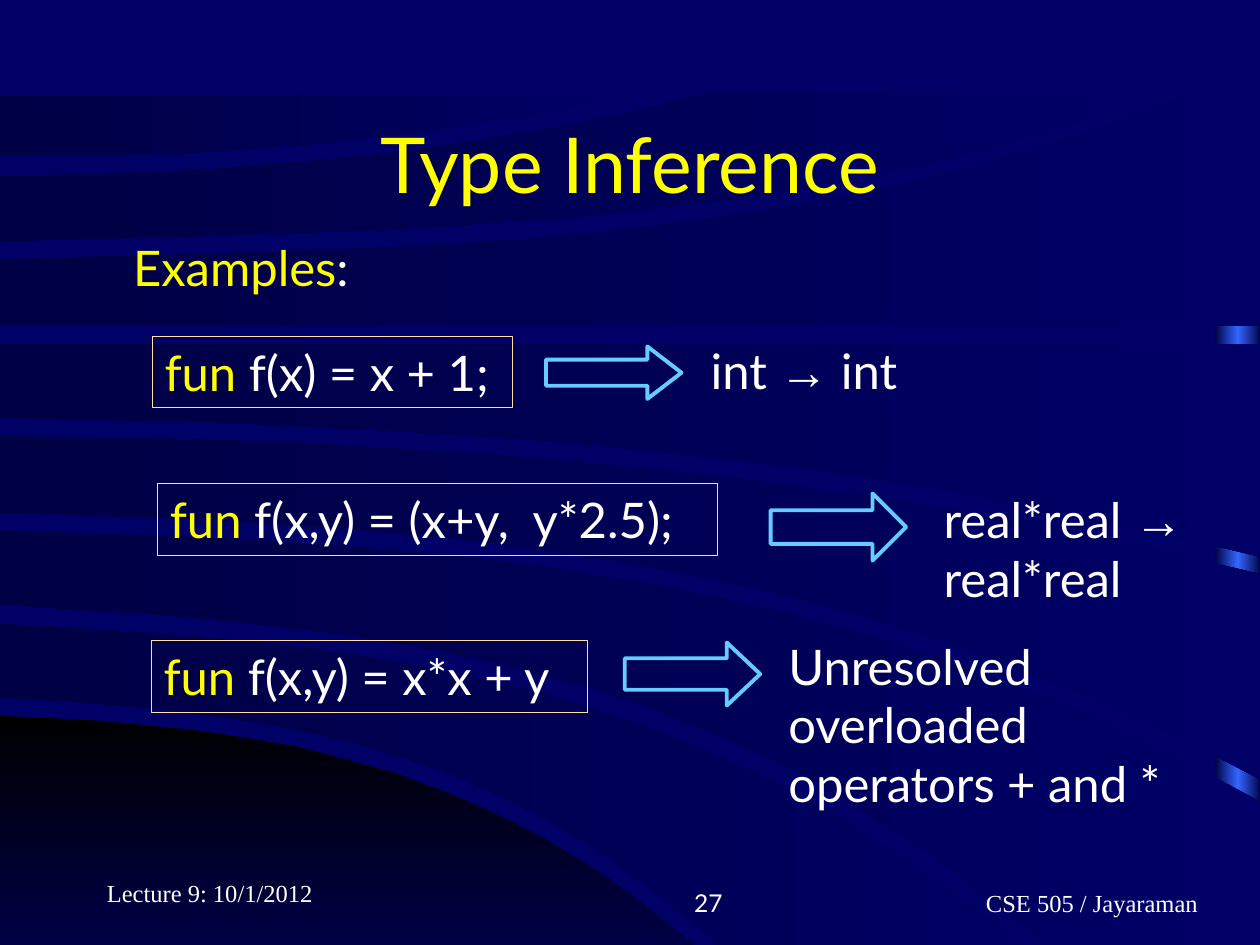
from dataclasses import dataclass
from math import prod

from lxml import etree
from pptx import Presentation
from pptx.dml.color import RGBColor
from pptx.enum.shapes import MSO_SHAPE
from pptx.enum.text import MSO_ANCHOR, PP_ALIGN
from pptx.oxml.ns import qn
from pptx.util import Inches, Pt

RECTANGLE, RIGHT_ARROW = MSO_SHAPE.RECTANGLE, MSO_SHAPE.RIGHT_ARROW
TOP, MIDDLE, BOTTOM = MSO_ANCHOR.TOP, MSO_ANCHOR.MIDDLE, MSO_ANCHOR.BOTTOM
LEFT, CENTER, RIGHT = PP_ALIGN.LEFT, PP_ALIGN.CENTER, PP_ALIGN.RIGHT

COLUMNS, ROWS = 120, 90  # grid cells across and down the slide
CURVE_UNIT = Inches(0.01)
CURVE_STEPS = 16


@dataclass(frozen=True)
class Theme:
    navy: str = "000066"
    deep: str = "000044"
    black: str = "000000"
    glow: str = "3366FF"
    yellow: str = "FFFF00"
    white: str = "FFFFFF"
    frame: str = "FFE0A3"
    arrow: str = "66CCFF"
    sans: str = "Lato"
    serif: str = "Times New Roman"
    symbol: str = "Arial"
    title: int = 44
    body: int = 28
    footer: int = 14


THEME = Theme()


def curve(end, heights):
    """Points on the polynomial through heights spaced evenly from 0 to end."""
    knots = range(len(heights))
    points = []
    for step in range(CURVE_STEPS + 1):
        share = step / CURVE_STEPS
        spot = share * (len(heights) - 1)
        height = sum(heights[knot] * prod((spot - other) / (knot - other)
                                          for other in knots if other != knot)
                     for knot in knots)
        points.append((round(end * share), round(height)))
    return points


class SlideBuilder:
    def __init__(self, deck, theme):
        self.theme = theme
        self.cell_width = deck.slide_width / COLUMNS
        self.cell_height = deck.slide_height / ROWS
        self.page = deck.slides.add_slide(deck.slide_layouts[6])
        self.page.background.fill.solid()
        self.page.background.fill.fore_color.rgb = RGBColor.from_string(theme.navy)

    def place(self, left, top, width, height):
        return (round(left * self.cell_width), round(top * self.cell_height),
                round(width * self.cell_width), round(height * self.cell_height))

    def shape(self, kind, area):
        shape = self.page.shapes.add_shape(kind, *self.place(*area))
        shape.shadow.inherit = False
        return shape

    def outline(self, shape, color, width):
        shape.fill.background()
        shape.line.color.rgb = RGBColor.from_string(color)
        shape.line.width = Pt(width)

    def gradient(self, shape, colors, angle=0):
        """Spread the colors evenly; the angle runs clockwise in degrees."""
        shape.fill.gradient()
        shape.line.fill.background()
        grad = shape._element.spPr.find(qn("a:gradFill"))
        stops = grad.find(qn("a:gsLst"))
        stops.clear()
        for index, color in enumerate(colors):
            position = 100000 * index // (len(colors) - 1)
            stop = etree.SubElement(stops, qn("a:gs"), pos=str(position))
            etree.SubElement(stop, qn("a:srgbClr"), val=color)
        grad.find(qn("a:lin")).set("ang", str(angle * 60000))

    def strip(self, area, colors):
        self.gradient(self.shape(RECTANGLE, area), colors)

    def band(self, upper, lower, colors, angle=0):
        """Fill between two (end, heights) edges, the shorter one run on level."""
        reach = max(upper[0], lower[0])
        top_edge, bottom_edge = [
            curve(end, heights) + [(reach, heights[-1])] for end, heights in (upper, lower)]
        points = top_edge + bottom_edge[::-1]
        builder = self.page.shapes.build_freeform(*points[0], scale=CURVE_UNIT)
        builder.add_line_segments(points[1:], close=True)
        shape = builder.convert_to_shape()
        shape.shadow.inherit = False
        self.gradient(shape, colors, angle)

    def arrow(self, area, head):
        shape = self.shape(RIGHT_ARROW, area)
        shape.adjustments[1] = head
        self.outline(shape, self.theme.arrow, 2.25)

    def text(self, area, lines, size, anchor=TOP, align=LEFT, tab=None, framed=False):
        """Each line is a list of (words, color, font) spans."""
        if framed:
            box = self.shape(RECTANGLE, area)
            self.outline(box, self.theme.frame, 0.25)
        else:
            box = self.page.shapes.add_textbox(*self.place(*area))
        frame = box.text_frame
        frame.word_wrap, frame.vertical_anchor = True, anchor
        for index, line in enumerate(lines):
            para = frame.add_paragraph() if index else frame.paragraphs[0]
            para.alignment = align
            if tab:
                tabs = etree.SubElement(para._p.get_or_add_pPr(), qn("a:tabLst"))
                etree.SubElement(tabs, qn("a:tab"), pos=str(Inches(tab)), algn="l")
            for words, color, font in line:
                span = para.add_run()
                span.text = words
                span.font.color.rgb = RGBColor.from_string(color)
                for name, value in {"size": Pt(size), "name": font}.items():
                    setattr(span.font, name, value)


# Background edges as (end, heights), in hundredths of an inch
FULL = 1001
HILL = (629, [568, 588, 659, 827]), (629, [827])
BANDS = [
    ((894, [495, 522, 612, 825]), (643, [554, 575, 648, 825])),
    ((FULL, [421, 439, 498, 637]), (910, [480, 508, 600, 825])),
    ((FULL, [346, 357, 391, 456]), (FULL, [407, 425, 484, 619])),
    ((FULL, [273]), (FULL, [332, 343, 376, 442])),
    ((944, [206, 196, 164, 75]), (FULL, [259])),
    ((557, [139, 133, 113, 75]), (918, [192, 182, 153, 75])),
    ((502, [75]), (502, [124, 120, 104, 75])),
]

# Row heights for text, and the shared arrow width, in grid cells
FIRST_LINE, NEXT_LINE, ARROW_WIDTH = 6.84, 5.6, 12.9

# Code place and width, code, arrow place and height, head, result place and width, result
EXAMPLES = [
    ((14.5, 32, 34.3), " f(x) = x + 1;", (52, 33), 5, 0.65,
     (66.5, 31.8, 21), ["int → int"]),
    ((15, 46, 53.3), " f(x,y) = (x+y,  y*2.5);", (73.4, 47), 6.4, 0.5,
     (88.7, 46, 28.8), ["real*real →", "real*real"]),
    ((14.4, 61, 41.5), " f(x,y) = x*x + y", (59.5, 61.2), 6, 0.53,
     (73.9, 60, 41.2), ["Unresolved", "overloaded", "operators + and *"]),
]


def result_spans(line):
    before, arrow, after = line.partition("→")
    parts = [(before, THEME.sans), (arrow, THEME.symbol), (after, THEME.sans)]
    return [(words, THEME.white, font) for words, font in parts if words]


def main():
    deck = Presentation()
    deck.slide_width, deck.slide_height = Inches(10), Inches(7.5)
    slide = SlideBuilder(deck, THEME)
    yellow, white, sans, serif = THEME.yellow, THEME.white, THEME.sans, THEME.serif

    # Background
    slide.strip((115.7, 9.2, 4.4, ROWS), [THEME.deep, THEME.glow, THEME.deep])
    slide.band(*HILL, [THEME.black, THEME.navy], angle=90)
    for upper, lower in BANDS:
        slide.band(upper, lower, [THEME.deep, THEME.navy])

    # Headings
    slide.text((9, 8, 102, 15), [[("Type Inference", yellow, sans)]], THEME.title,
               MIDDLE, CENTER)
    slide.text((11.5, 22, 24.6, FIRST_LINE),
               [[("Examples", yellow, sans), (":", white, sans)]], THEME.body)

    # Examples
    for code_place, code, arrow_place, arrow_height, head, result_place, result in EXAMPLES:
        slide.text((*code_place, FIRST_LINE), [[("fun", yellow, sans), (code, white, sans)]],
                   THEME.body, framed=True)
        slide.arrow((*arrow_place, ARROW_WIDTH, arrow_height), head)
        result_height = FIRST_LINE + NEXT_LINE * (len(result) - 1)
        slide.text((*result_place, result_height), [result_spans(line) for line in result],
                   THEME.body)

    # Footer
    for left, top, width, words, font, align, tab in [
        (9, 81, 25, "Lecture 9: 10/1/2012", serif, LEFT, None),
        (45, 82, 25, "27", sans, RIGHT, None),
        (79, 82, 38, "\tCSE 505 / Jayaraman", serif, CENTER, 1),
    ]:
        slide.text((left, top, width, 6), [[(words, white, font)]], THEME.footer,
                   BOTTOM, align, tab)

    deck.save("out.pptx")


if __name__ == "__main__":
    main()
